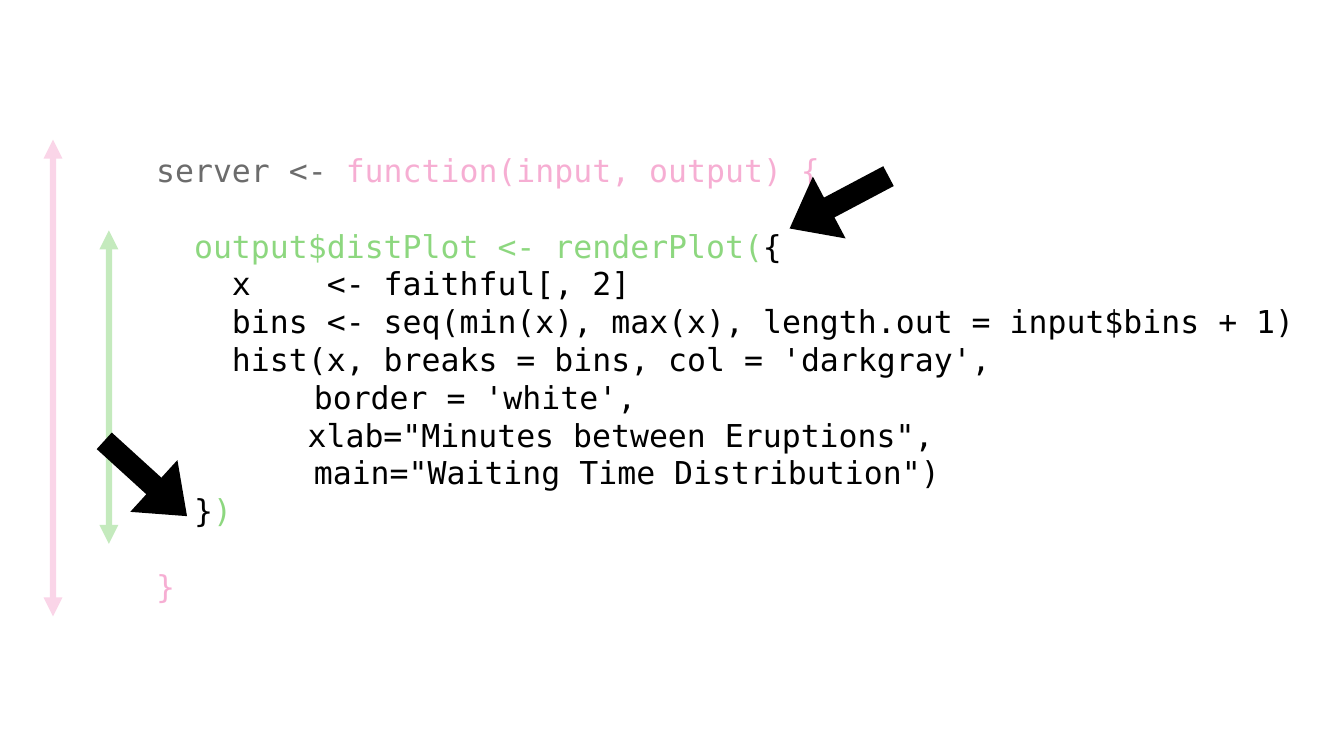
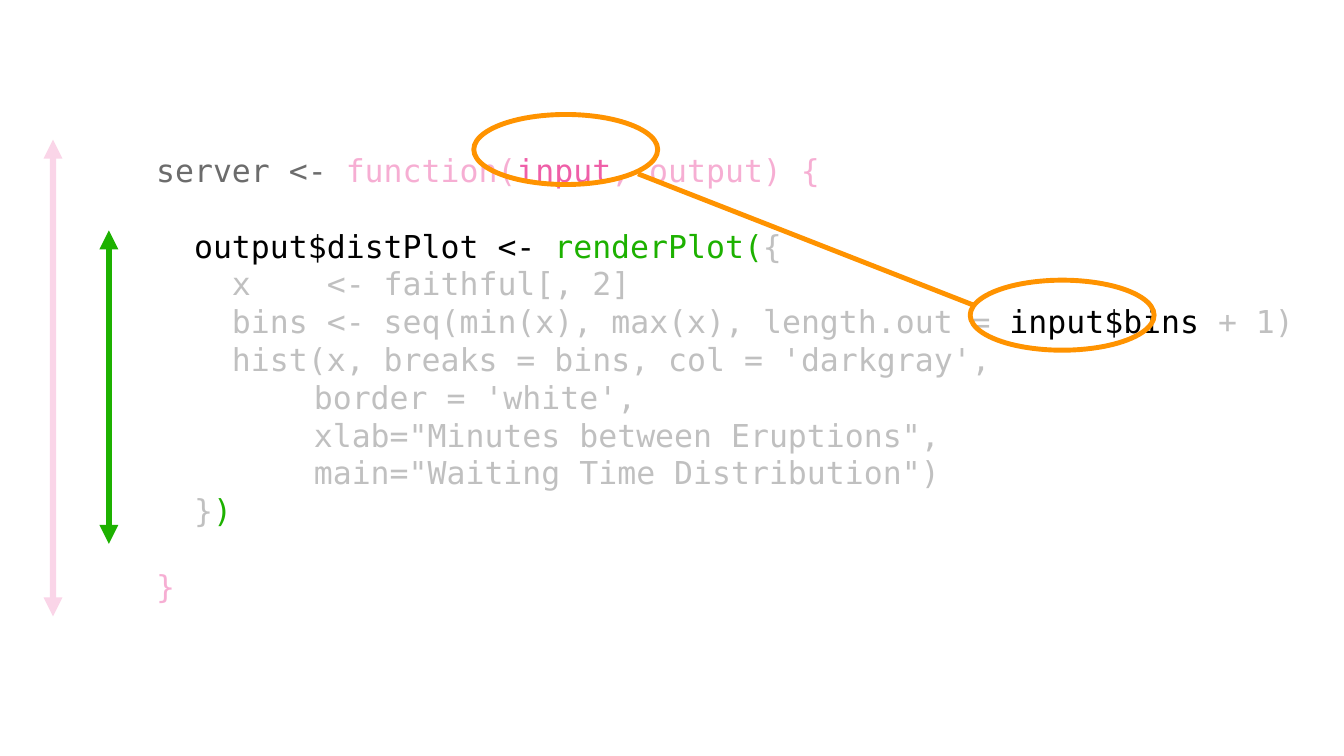
import pptx
import pptx.dml.color
import pptx.enum.shapes
import pptx.enum.text
import pptx.oxml.ns
import pptx.util
from lxml import etree
from pptx.dml.color import RGBColor
from pptx.util import Cm, Pt

SHAPES = pptx.enum.shapes.MSO_SHAPE

# Colours
BLACK = RGBColor(0x00, 0x00, 0x00)
SLATE = RGBColor(0x6C, 0x6C, 0x6C)
SILVER = RGBColor(0xC0, 0xC0, 0xC0)
PINK = RGBColor(0xEF, 0x5F, 0xA8)
GREEN = RGBColor(0x1D, 0xB1, 0x00)
ORANGE = RGBColor(0xFF, 0x93, 0x00)

# Inks: colour and opacity in percent
FADED_PINK = (PINK, 50)
FADED_GREEN = (GREEN, 50)
SOLID_BLACK = (BLACK, 100)
SOLID_SLATE = (SLATE, 100)
SOLID_SILVER = (SILVER, 100)
SOLID_PINK = (PINK, 100)
SOLID_GREEN = (GREEN, 100)

# Code style
CODE_FONT = "DejaVu Sans Mono"
CODE_SIZE = Pt(45)
LINE_PITCH = Pt(54)
ARGUMENT_INDENT = Cm(5.08)
XLAB = 'xlab="Minutes between Eruptions",'


def add_child(parent, tag, **attributes):
    return etree.SubElement(parent, pptx.oxml.ns.qn(tag), attributes)


def set_opacity(color_format_owner, percent):
    """Make every plain colour below the element partly transparent."""
    if percent < 100:
        for color in color_format_owner.iter(pptx.oxml.ns.qn("a:srgbClr")):
            add_child(color, "a:alpha", val=str(percent * 1000))


def add_code_line(paragraph, runs, indent=0, gap=False):
    paragraph._p.get_or_add_pPr().set("marL", str(int(indent)))
    paragraph.line_spacing = LINE_PITCH
    paragraph.space_before = LINE_PITCH if gap else Pt(0)
    paragraph.font.name = CODE_FONT
    paragraph.font.size = CODE_SIZE
    for text, (color, opacity) in runs:
        run = paragraph.add_run()
        run.text = text
        run.font.color.rgb = color
        set_opacity(run._r, opacity)


def add_code(slide, lines):
    box = slide.shapes.add_textbox(Cm(7.72), Cm(6.27), Cm(58.06), Cm(25.55))
    frame = box.text_frame
    frame.word_wrap = True
    frame.vertical_anchor = pptx.enum.text.MSO_ANCHOR.MIDDLE
    frame.margin_left = frame.margin_right = Cm(0.15)
    frame.margin_top = frame.margin_bottom = Cm(0.15)
    for number, line in enumerate(lines):
        paragraph = frame.add_paragraph() if number else frame.paragraphs[0]
        add_code_line(paragraph, *line)


def server_code(signature, render_call, bins, xlab, body, closing):
    """Lines of the server function as (runs, indent, blank line above)."""
    return [
        ([("server <- ", SOLID_SLATE)] + signature,),
        (render_call, 0, True),
        ([("    x    <- faithful[, 2]", body)],),
        (bins,),
        ([("    hist(x, breaks = bins, col = 'darkgray',", body)],),
        ([("   border = 'white',", body)], ARGUMENT_INDENT),
        xlab,
        ([('   main="Waiting Time Distribution")', body)], ARGUMENT_INDENT),
        ([("  }", body), (")", closing)],),
        ([("}", FADED_PINK)], 0, True),
    ]


def add_line(slide, start, end, color, width, opacity=100, arrows=False):
    line = slide.shapes.add_connector(
        pptx.enum.shapes.MSO_CONNECTOR.STRAIGHT,
        Cm(start[0]), Cm(start[1]), Cm(end[0]), Cm(end[1]))
    line.line.color.rgb = color
    line.line.width = Pt(width)
    properties = line._element.spPr
    set_opacity(properties, opacity)
    if arrows:
        outline = line.line._get_or_add_ln()
        add_child(outline, "a:headEnd", type="triangle")
        add_child(outline, "a:tailEnd", type="triangle")
    add_child(properties, "a:effectLst")


def add_scope_arrows(slide, render_opacity):
    """Vertical spans of the server function and of renderPlot."""
    add_line(slide, (2.67, 31.06), (2.67, 7.04), PINK, 9, 25, arrows=True)
    add_line(slide, (5.49, 27.41), (5.49, 11.61), GREEN, 9, render_opacity,
             arrows=True)


def add_pointer(slide, left, top, angle):
    pointer = slide.shapes.add_shape(
        SHAPES.RIGHT_ARROW, Cm(left), Cm(top), Cm(5.64), Cm(3.53))
    pointer.adjustments[0] = 0.32
    pointer.adjustments[1] = 0.64
    pointer.rotation = angle
    pointer.fill.solid()
    pointer.fill.fore_color.rgb = BLACK
    pointer.line.fill.background()
    pointer.shadow.inherit = False


def add_ring(slide, left, top):
    ring = slide.shapes.add_shape(
        SHAPES.OVAL, Cm(left), Cm(top), Cm(9.27), Cm(3.53))
    ring.fill.background()
    ring.line.color.rgb = ORANGE
    ring.line.width = Pt(7)
    ring.shadow.inherit = False


def build_braces_slide(slide):
    add_code(slide, server_code(
        signature=[("function(input, output) {", FADED_PINK)],
        render_call=[("  output$distPlot <- renderPlot(", FADED_GREEN),
                     ("{", SOLID_BLACK)],
        bins=[("    bins <- seq(min(x), max(x), "
               "length.out = input$bins + 1)", SOLID_BLACK)],
        xlab=([("      " + XLAB, SOLID_BLACK)], Cm(1.9)),
        body=SOLID_BLACK,
        closing=FADED_GREEN))
    add_scope_arrows(slide, render_opacity=25)
    add_pointer(slide, 39.47, 8.43, 152.1)
    add_pointer(slide, 4.52, 22.35, 42.3)


def build_input_slide(slide):
    add_code(slide, server_code(
        signature=[("function(", FADED_PINK), ("input", SOLID_PINK),
                   (", output) {", FADED_PINK)],
        render_call=[("  output$distPlot <- ", SOLID_BLACK),
                     ("renderPlot(", SOLID_GREEN), ("{", SOLID_SILVER)],
        bins=[("    bins <- seq(min(x), max(x), length.out = ", SOLID_SILVER),
              ("input$bins", SOLID_BLACK), (" + 1)", SOLID_SILVER)],
        xlab=([("   " + XLAB, SOLID_SILVER)], ARGUMENT_INDENT),
        body=SOLID_SILVER,
        closing=SOLID_GREEN))
    add_scope_arrows(slide, render_opacity=100)
    # Link from the input argument to its use
    add_line(slide, (49.1, 15.39), (32.16, 8.76), ORANGE, 7)
    add_ring(slide, 23.88, 5.77)
    add_ring(slide, 48.9, 14.12)


def main():
    deck = pptx.Presentation()
    deck.slide_width = Cm(67.74)
    deck.slide_height = Cm(38.1)
    blank = deck.slide_layouts[6]
    for build in (build_braces_slide, build_input_slide):
        build(deck.slides.add_slide(blank))
    deck.save("out.pptx")


if __name__ == "__main__":
    main()
